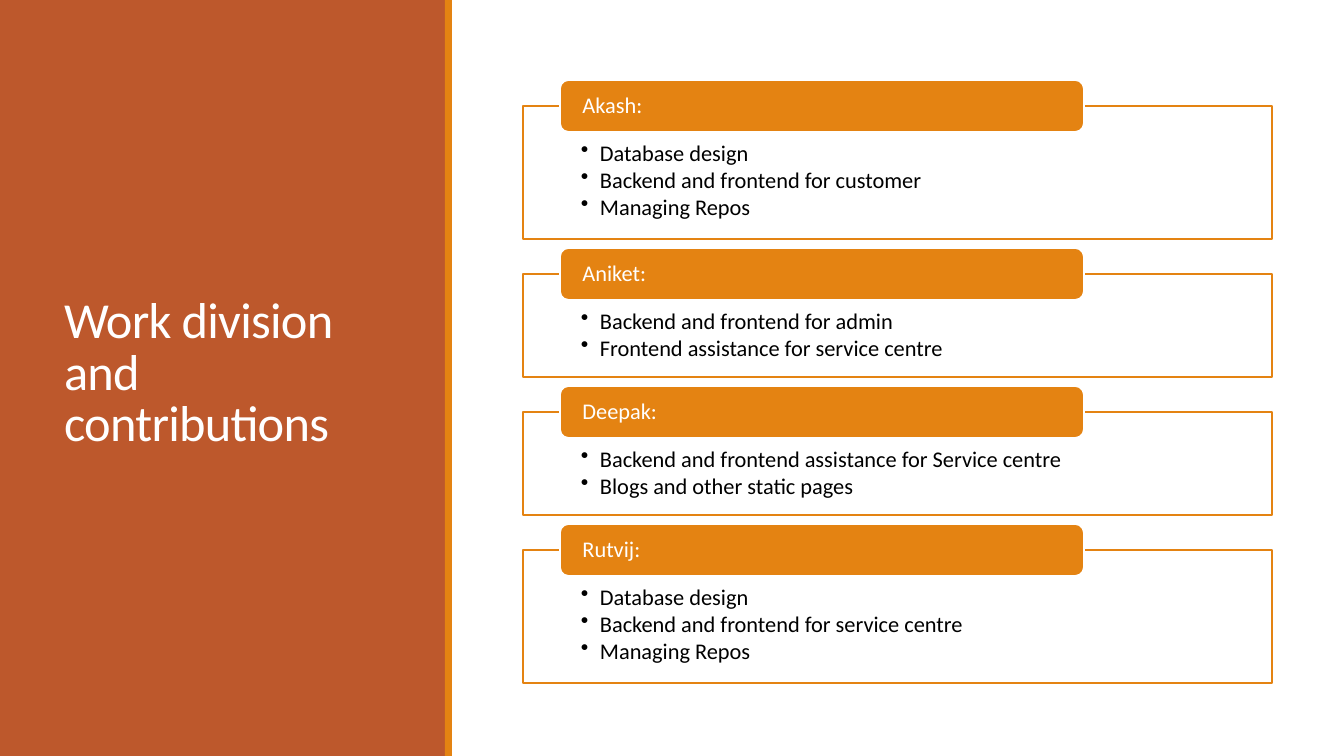
import pptx
import pptx.dml.color
import pptx.enum.shapes
import pptx.enum.text
import pptx.oxml
import pptx.oxml.ns
import pptx.util
from dataclasses import dataclass
from lxml import etree


@dataclass(frozen=True)
class Theme:
    font: str = "Calibri"
    rust: str = "BD582C"
    orange: str = "E48312"
    white: str = "FFFFFF"
    black: str = "000000"
    title_size: int = 36
    body_size: int = 16
    outline: float = 1.25


theme = Theme()
SHAPE = pptx.enum.shapes.MSO_SHAPE
ANCHOR = pptx.enum.text.MSO_ANCHOR
SLIDE_WIDTH, SLIDE_HEIGHT = 1344, 756
EMU_PER_PX = pptx.util.Inches(1) / 100.8


def add_box(kind, bounds, fill, line=None, insets=(10, 5, 10, 5), anchor=ANCHOR.MIDDLE):
    """Add a flat shape; bounds and insets are px: left, top, then width, height or right, bottom."""
    box = page.shapes.add_shape(kind, *[round(px * EMU_PER_PX) for px in bounds])
    box.shadow.inherit = False
    if fill:
        box.fill.solid()
        box.fill.fore_color.rgb = pptx.dml.color.RGBColor.from_string(fill)
    else:
        box.fill.background()
    if line:
        box.line.color.rgb = pptx.dml.color.RGBColor.from_string(line)
        box.line.width = pptx.util.Pt(theme.outline)
    else:
        box.line.fill.background()
    frame = box.text_frame
    frame.word_wrap = True
    frame.vertical_anchor = anchor
    frame.margin_left, frame.margin_top, frame.margin_right, frame.margin_bottom = [
        round(px * EMU_PER_PX) for px in insets]
    return box


def add_text(para, text, size, color, line_spacing):
    para.alignment = pptx.enum.text.PP_ALIGN.LEFT
    para.line_spacing = line_spacing
    span = para.add_run()
    span.text = text
    span.font.name = theme.font
    span.font.size = pptx.util.Pt(size)
    span.font.color.rgb = pptx.dml.color.RGBColor.from_string(color)
    return span


deck = pptx.Presentation()
deck.slide_width = round(SLIDE_WIDTH * EMU_PER_PX)
deck.slide_height = round(SLIDE_HEIGHT * EMU_PER_PX)
page = deck.slides.add_slide(deck.slide_layouts[6])

# Title panel
add_box(SHAPE.RECTANGLE, (0, 0, 446, SLIDE_HEIGHT), theme.rust)
title = add_box(SHAPE.RECTANGLE, (54, 57, 340, 636), None)
title_span = add_text(title.text_frame.paragraphs[0], "Work division and contributions",
                      theme.title_size, theme.white, 0.85)
title_span.font._element.set("spc", "-50")
add_box(SHAPE.RECTANGLE, (445, 0, 7, SLIDE_HEIGHT), theme.orange)

# One outlined card per member, its name tab centred on the top edge
members = [
    ("Akash:", ["Database design", "Backend and frontend for customer", "Managing Repos"]),
    ("Aniket:", ["Backend and frontend for admin", "Frontend assistance for service centre"]),
    ("Deepak:", ["Backend and frontend assistance for Service centre",
                 "Blogs and other static pages"]),
    ("Rutvij:", ["Database design", "Backend and frontend for service centre",
                 "Managing Repos"]),
]
CARD_LEFT, CARD_WIDTH, CARD_GAP = 523, 749, 35
CARD_BASE, TASK_HEIGHT = 43, 30
TAB_LEFT, TAB_WIDTH, TAB_HEIGHT = 560, 524, 52
BULLET_INDENT = round(19 * EMU_PER_PX)

card_top = 106
for name, tasks in members:
    card_height = CARD_BASE + TASK_HEIGHT * len(tasks)
    card = add_box(SHAPE.RECTANGLE, (CARD_LEFT, card_top, CARD_WIDTH, card_height),
                   theme.white, theme.orange, (58, 36, 58, 12), ANCHOR.TOP)
    fill_color = card.fill._xPr.find(".//" + pptx.oxml.ns.qn("a:srgbClr"))
    etree.SubElement(fill_color, pptx.oxml.ns.qn("a:alpha"), val="90000")
    for index, task in enumerate(tasks):
        para = card.text_frame.paragraphs[0] if index == 0 else card.text_frame.add_paragraph()
        add_text(para, task, theme.body_size, theme.black, 0.9)
        para.space_after = pptx.util.Pt(2)
        properties = para._p.get_or_add_pPr()
        properties.set("marL", str(BULLET_INDENT))
        properties.set("indent", str(-BULLET_INDENT))
        etree.SubElement(properties, pptx.oxml.ns.qn("a:buChar"), char="•")
    tab = add_box(SHAPE.ROUNDED_RECTANGLE,
                  (TAB_LEFT, card_top - TAB_HEIGHT // 2, TAB_WIDTH, TAB_HEIGHT),
                  theme.orange, theme.white, (20, 0, 20, 0))
    add_text(tab.text_frame.paragraphs[0], name, theme.body_size, theme.white, 0.9)
    card_top += card_height + CARD_GAP

deck.save("out.pptx")
